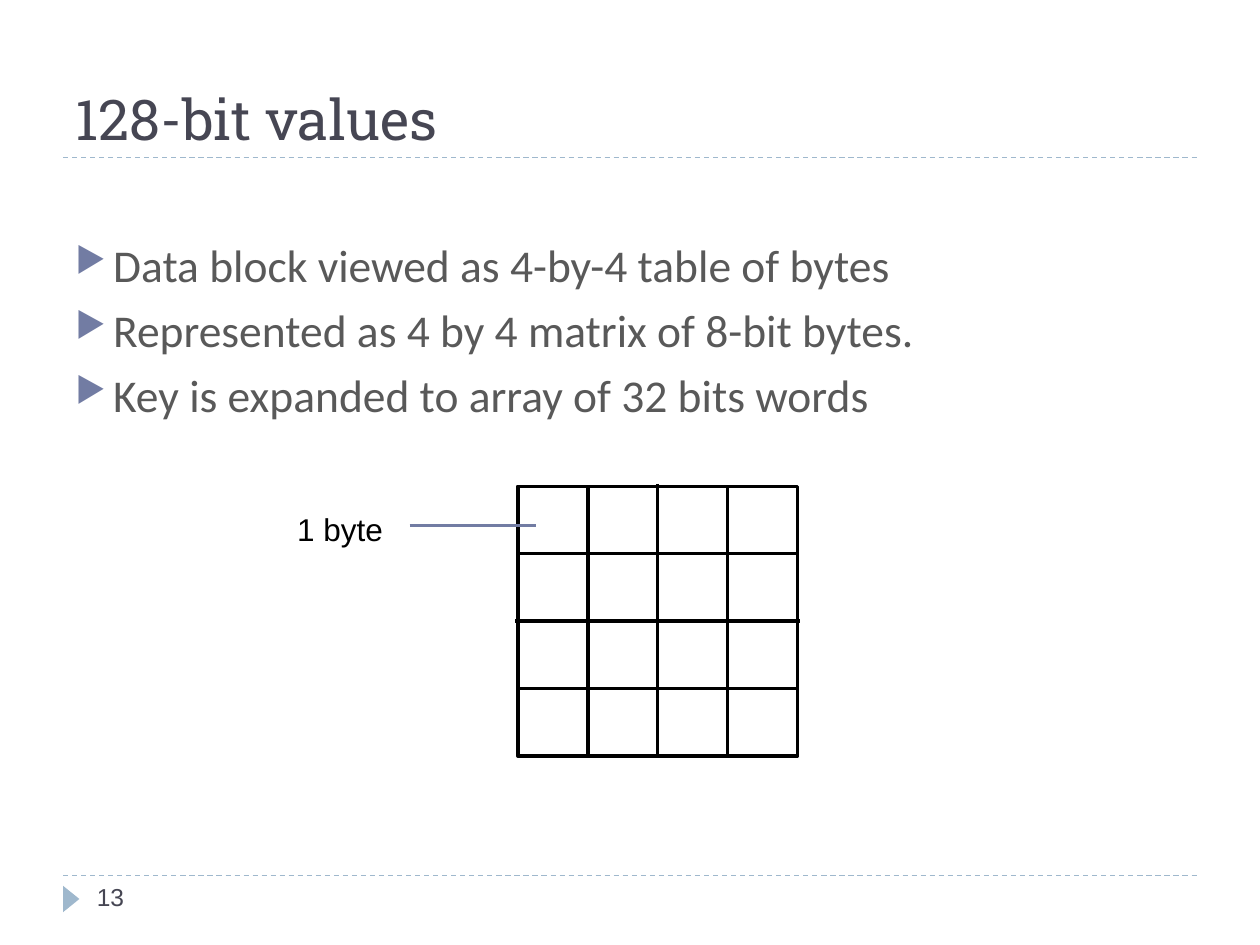
from lxml.etree import SubElement
from pptx import Presentation
from pptx.dml.color import RGBColor
from pptx.enum.dml import MSO_LINE
from pptx.enum.shapes import MSO_CONNECTOR, MSO_SHAPE
from pptx.enum.text import MSO_ANCHOR
from pptx.oxml.ns import qn
from pptx.util import Inches, Pt

COLORS = {
    "rule": "9FB8CD",
    "heading": "464653",
    "body": "595959",
    "accent": "727CA3",
    "black": "000000",
    "white": "FFFFFF",
}


def add_line(x1, y1, x2, y2, color, width, dash=None):
    line = page.shapes.add_connector(
        MSO_CONNECTOR.STRAIGHT, Inches(x1), Inches(y1), Inches(x2), Inches(y2))
    line.line.color.rgb = RGBColor.from_string(COLORS[color])
    line.line.width = Pt(width)
    if dash:
        line.line.dash_style = dash
    SubElement(line._element.spPr, qn("a:effectLst"))


def add_text(left, top, width, height, lines, font, size, color,
             anchor=MSO_ANCHOR.TOP, wrap=True):
    """Add a text box with one paragraph per line and return its paragraphs."""
    box = page.shapes.add_textbox(
        Inches(left), Inches(top), Inches(width), Inches(height))
    frame = box.text_frame
    frame.word_wrap = wrap
    frame.vertical_anchor = anchor
    for index, text in enumerate(lines):
        para = frame.add_paragraph() if index else frame.paragraphs[0]
        span = para.add_run()
        span.text = text
        span.font.name = font
        span.font.size = Pt(size)
        span.font.color.rgb = RGBColor.from_string(COLORS[color])
    return frame.paragraphs


deck = Presentation()
deck.slide_width, deck.slide_height = Inches(10), Inches(7.5)
page = deck.slides.add_slide(deck.slide_layouts[6])

# Footer and title rules, page marker
for y in (6.95, 1.25):
    add_line(0.5, y, 9.5, y, "rule", 0.75, MSO_LINE.DASH)
marker = page.shapes.add_shape(
    MSO_SHAPE.ISOSCELES_TRIANGLE, Inches(0.46), Inches(7.07), Inches(0.21), Inches(0.13))
marker.rotation = 90
marker.shadow.inherit = False
marker.fill.solid()
marker.fill.fore_color.rgb = RGBColor.from_string(COLORS["rule"])
marker.line.fill.background()

# Title, page number and bullets
add_text(0.5, 0.17, 9, 1.08, ["128-bit values"], "Roboto Slab", 32, "heading",
         anchor=MSO_ANCHOR.BOTTOM)
add_text(0.67, 6.95, 2.17, 0.4, ["13"], "Arial", 14, "heading")
bullets = add_text(0.5, 1.83, 9, 2.67, [
    "Data block viewed as 4-by-4 table of bytes",
    "Represented as 4 by 4 matrix of 8-bit bytes.",
    "Key is expanded to array of 32 bits words",
], "Calibri", 26, "body")
for para in bullets:
    para.space_before = Pt(6)
    props = para._p.get_or_add_pPr()
    props.set("marL", str(Inches(0.3)))
    props.set("indent", str(Inches(-0.3)))
    bullet_color = SubElement(props, qn("a:buClr"))
    SubElement(bullet_color, qn("a:srgbClr"), val=COLORS["accent"])
    SubElement(props, qn("a:buSzPct"), val="76000")
    SubElement(props, qn("a:buChar"), char="▶")

# Byte matrix: outer square, middle columns, middle rows, then the centre lines
left, top, width, height = 4.11, 3.86, 2.22, 2.14
center_x, center_y = left + width / 2, top + height / 2
frames = [
    (left, top, width, height, True),
    (left + width / 4, top, width / 2, height, True),
    (left, top + height / 4, width, height / 2, False),
]
for x, y, w, h, filled in frames:
    block = page.shapes.add_shape(
        MSO_SHAPE.RECTANGLE, Inches(x), Inches(y), Inches(w), Inches(h))
    block.shadow.inherit = False
    if filled:
        block.fill.solid()
        block.fill.fore_color.rgb = RGBColor.from_string(COLORS["white"])
    else:
        block.fill.background()
    block.line.color.rgb = RGBColor.from_string(COLORS["black"])
    block.line.width = Pt(2)
add_line(center_x, top - 0.02, center_x, top + height + 0.02, "black", 2)
add_line(left - 0.02, center_y, left + width + 0.02, center_y, "black", 2)

# Label of one cell
add_text(2.26, 4, 0.88, 0.4, ["1 byte"], "Arial", 18, "black", wrap=False)
add_line(3.25, 4.17, 4.25, 4.17, "accent", 1.5)

deck.save("out.pptx")
